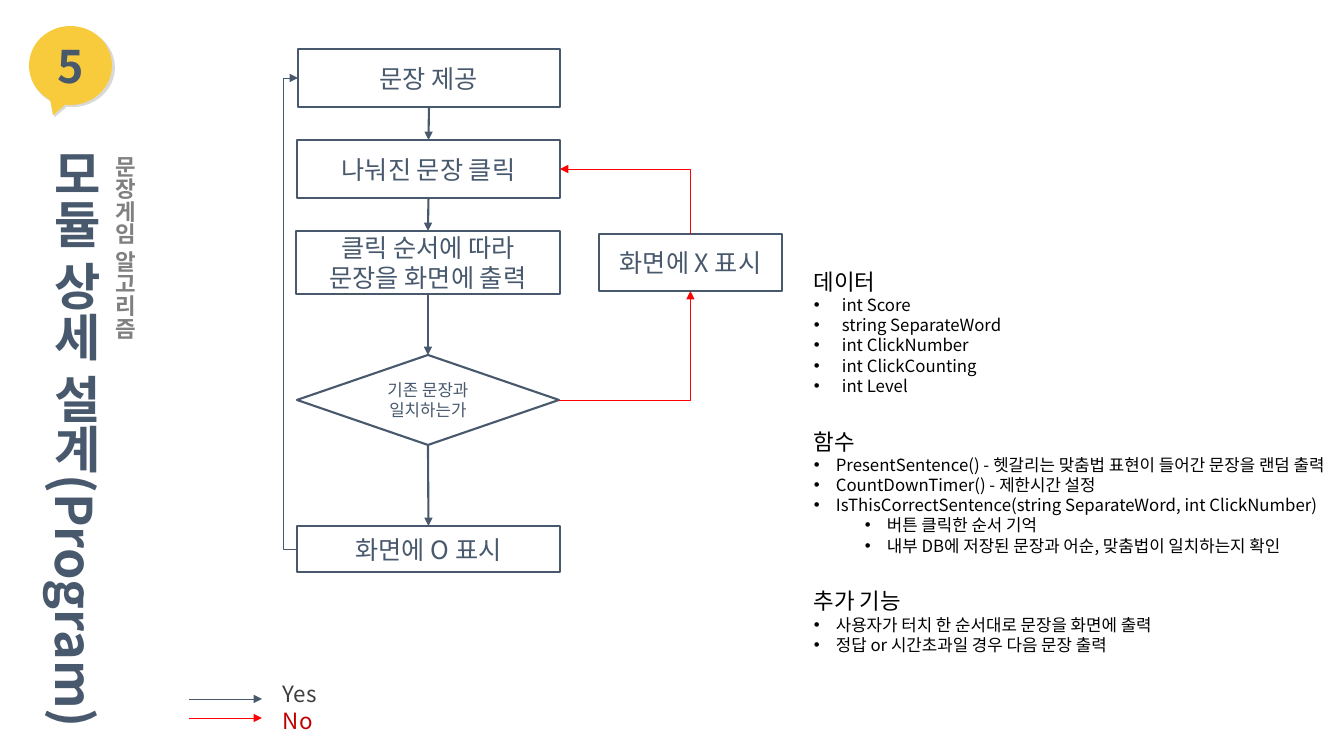
"""Build the sentence game algorithm slide with its flowchart and module notes."""
from dataclasses import dataclass
from lxml.etree import SubElement
from pptx import Presentation
from pptx.dml.color import RGBColor
from pptx.enum.shapes import MSO_CONNECTOR as LINK, MSO_SHAPE as SHAPE
from pptx.enum.text import MSO_ANCHOR as ANCHOR, MSO_AUTO_SIZE as AUTOSIZE, PP_ALIGN as ALIGN
from pptx.oxml.ns import qn
from pptx.util import Pt

TOP, LEFT, BOTTOM, RIGHT = range(4)


@dataclass(frozen=True)
class Theme:
    """Hold the colours, type sizes and font of the slide."""
    font: str = "Noto Sans CJK KR"
    navy: str = "48596D"
    yellow: str = "F8CB3C"
    shade: str = "D9D9D9"
    grey: str = "808080"
    black: str = "000000"
    yes: str = "3F3F3F"
    no: str = "C00000"
    red: str = "FF0000"
    title: int = 36
    badge: int = 32
    step: int = 18
    heading: int = 16
    body: int = 12


THEME = Theme()
DATA = ["int Score", "string SeparateWord", "int ClickNumber", "int ClickCounting", "int Level"]
FUNCTIONS = [
    "PresentSentence() - 헷갈리는 맞춤법 표현이 들어간 문장을 랜덤 출력",
    "CountDownTimer() - 제한시간 설정",
    "IsThisCorrectSentence(string SeparateWord, int ClickNumber)",
]
CHECKS = ["버튼 클릭한 순서 기억", "내부 DB에 저장된 문장과 어순, 맞춤법이 일치하는지 확인"]
EXTRAS = ["사용자가 터치 한 순서대로 문장을 화면에 출력", "정답 or 시간초과일 경우 다음 문장 출력"]


def px(length):
    """Turn pixels into EMU."""
    return round(length * 914400 / 100.8)


def write(para, text, size, color, bold=False):
    """Add one styled run to a paragraph."""
    span = para.add_run()
    span.text = text
    span.font.size = Pt(size)
    span.font.bold = bold
    span.font.color.rgb = RGBColor.from_string(color)
    span.font.name = THEME.font
    SubElement(span.font._element, qn("a:ea"), typeface=THEME.font)


def next_para(frame):
    """Return the empty first paragraph or a new one."""
    first = frame.paragraphs[0]
    return frame.add_paragraph() if first.runs else first


def add_box(shapes, kind, bounds, lines=(), size=THEME.step, fill=None, bold=False):
    """Add a filled or outlined shape with centred lines."""
    box = shapes.add_shape(kind, *map(px, bounds))
    box.shadow.inherit = False
    if fill:
        box.fill.solid()
        box.fill.fore_color.rgb = RGBColor.from_string(fill)
        box.line.fill.background()
    else:
        box.fill.background()
        box.line.color.rgb = RGBColor.from_string(THEME.navy)
        box.line.width = Pt(1.5)
    frame = box.text_frame
    frame.vertical_anchor = ANCHOR.MIDDLE
    for line in lines:
        para = next_para(frame)
        para.alignment = ALIGN.CENTER
        write(para, line, size, THEME.navy, bold)
    return box


def add_text_frame(page, bounds, wrap=True):
    """Add a text box that grows with its text and return its frame."""
    frame = page.shapes.add_textbox(*map(px, bounds)).text_frame
    frame.word_wrap = wrap
    frame.auto_size = AUTOSIZE.SHAPE_TO_FIT_TEXT
    return frame


def add_vertical_text(page, bounds, text, size, color, align):
    """Add one bold line of East Asian vertical text."""
    frame = add_text_frame(page, bounds, wrap=False)
    frame._txBody.bodyPr.set("vert", "eaVert")
    frame.paragraphs[0].alignment = align
    write(frame.paragraphs[0], text, size, color, bold=True)


def style_arrow(arrow, color, width, head="a:tailEnd"):
    """Colour a connector and give it a triangle head."""
    arrow.line.color.rgb = RGBColor.from_string(color)
    arrow.line.width = Pt(width)
    properties = arrow.element.spPr
    SubElement(properties.find(qn("a:ln")), qn(head), type="triangle")
    SubElement(properties, qn("a:effectLst"))


def join(page, start, start_side, end, end_side, kind=LINK.STRAIGHT):
    """Add a connector between the sides of two shapes."""
    arrow = page.shapes.add_connector(kind, start.left, start.top, end.left, end.top)
    arrow.begin_connect(start, start_side)
    arrow.end_connect(end, end_side)
    return arrow


def bend(arrow, preset, adjust=None):
    """Set the bend preset of an elbow connector and its offset."""
    geometry = arrow.element.spPr.find(qn("a:prstGeom"))
    geometry.set("prst", preset)
    if adjust is not None:
        guides = geometry.find(qn("a:avLst"))
        SubElement(guides, qn("a:gd"), name="adj1", fmla=f"val {adjust}")


def add_heading(frame, text, gap=0):
    """Add a section heading to the notes."""
    para = next_para(frame)
    para.space_before = Pt(gap)
    write(para, text, THEME.heading, THEME.black)


def add_bullets(frame, items, margin, hanging, level=0):
    """Add bulleted paragraphs with a hanging indent."""
    for item in items:
        para = next_para(frame)
        para.level = level
        properties = para._p.get_or_add_pPr()
        properties.set("marL", str(px(margin)))
        properties.set("indent", str(-px(hanging)))
        SubElement(properties, qn("a:buFont"), typeface="Arial")
        SubElement(properties, qn("a:buChar"), char="•")
        write(para, item, THEME.body, THEME.black)


def add_badge(page):
    """Add the numbered speech bubble with its shade."""
    group = page.shapes.add_group_shape()
    shade = add_box(group.shapes, SHAPE.OVAL_CALLOUT, (30, 28, 85, 79), fill=THEME.shade)
    bubble = add_box(group.shapes, SHAPE.OVAL_CALLOUT, (29, 26, 83, 79), ["5"],
                     THEME.badge, THEME.yellow, bold=True)
    for callout in (shade, bubble):
        callout.adjustments[0], callout.adjustments[1] = -0.21, 0.63


def add_flowchart(page):
    """Add the steps of the algorithm and the arrows between them."""
    shapes = page.shapes
    offer = add_box(shapes, SHAPE.RECTANGLE, (298, 49, 262, 58), ["문장 제공"])
    click = add_box(shapes, SHAPE.RECTANGLE, (297, 140, 263, 58), ["나눠진 문장 클릭"])
    output = add_box(shapes, SHAPE.RECTANGLE, (296, 231, 264, 63),
                     ["클릭 순서에 따라", "문장을 화면에 출력"])
    match = add_box(shapes, SHAPE.FLOWCHART_DECISION, (297, 355, 262, 90),
                    ["기존 문장과", "일치하는가"], THEME.body)
    right = add_box(shapes, SHAPE.RECTANGLE, (297, 526, 263, 46), ["화면에 O 표시"])
    wrong = add_box(shapes, SHAPE.RECTANGLE, (599, 234, 183, 57), ["화면에 X 표시"])

    steps = [offer, click, output, match, right]
    for start, end in zip(steps, steps[1:]):
        style_arrow(join(page, start, BOTTOM, end, TOP), THEME.navy, 1.5)

    restart = join(page, right, LEFT, offer, LEFT, LINK.ELBOW)
    bend(restart, "bentConnector3", -1400000)
    style_arrow(restart, THEME.navy, 0.5)
    failure = join(page, match, RIGHT, wrong, BOTTOM, LINK.ELBOW)
    bend(failure, "bentConnector2")
    style_arrow(failure, THEME.red, 0.25)
    retry = join(page, click, RIGHT, wrong, TOP, LINK.ELBOW)
    bend(retry, "bentConnector2")
    style_arrow(retry, THEME.red, 0.25, "a:headEnd")


def add_legend(page):
    """Add the key to the arrow colours."""
    frame = add_text_frame(page, (172, 675, 179, 65))
    for label, y, arrow_color, color in (("Yes", 699, THEME.navy, THEME.yes),
                                         ("No", 718, THEME.red, THEME.no)):
        arrow = page.shapes.add_connector(LINK.STRAIGHT, px(189), px(y), px(262), px(y))
        style_arrow(arrow, arrow_color, 0.25)
        para = next_para(frame)
        para._p.get_or_add_pPr().set("marL", str(px(101)))
        write(para, label, THEME.heading, color)


def add_notes(page):
    """Add the lists of data, functions and extra features."""
    frame = add_text_frame(page, (804, 263, 539, 407))
    add_heading(frame, "데이터")
    add_bullets(frame, DATA, 28, 28)
    add_heading(frame, "함수", 23)
    add_bullets(frame, FUNCTIONS, 22, 22)
    add_bullets(frame, CHECKS, 73, 22, level=1)
    add_heading(frame, "추가 기능", 23)
    add_bullets(frame, EXTRAS, 22, 22)


def main():
    """Build and save the deck."""
    deck = Presentation()
    deck.slide_width, deck.slide_height = px(1344), px(756)
    page = deck.slides.add_slide(deck.slide_layouts[6])
    add_badge(page)
    add_vertical_text(page, (29, 139, 82, 582), "모듈 상세 설계(Program)",
                      THEME.title, THEME.navy, ALIGN.LEFT)
    add_vertical_text(page, (94, 146, 49, 196), "문장게임 알고리즘",
                      THEME.heading, THEME.grey, ALIGN.CENTER)
    add_flowchart(page)
    add_legend(page)
    add_notes(page)
    deck.save("out.pptx")


if __name__ == "__main__":
    main()
